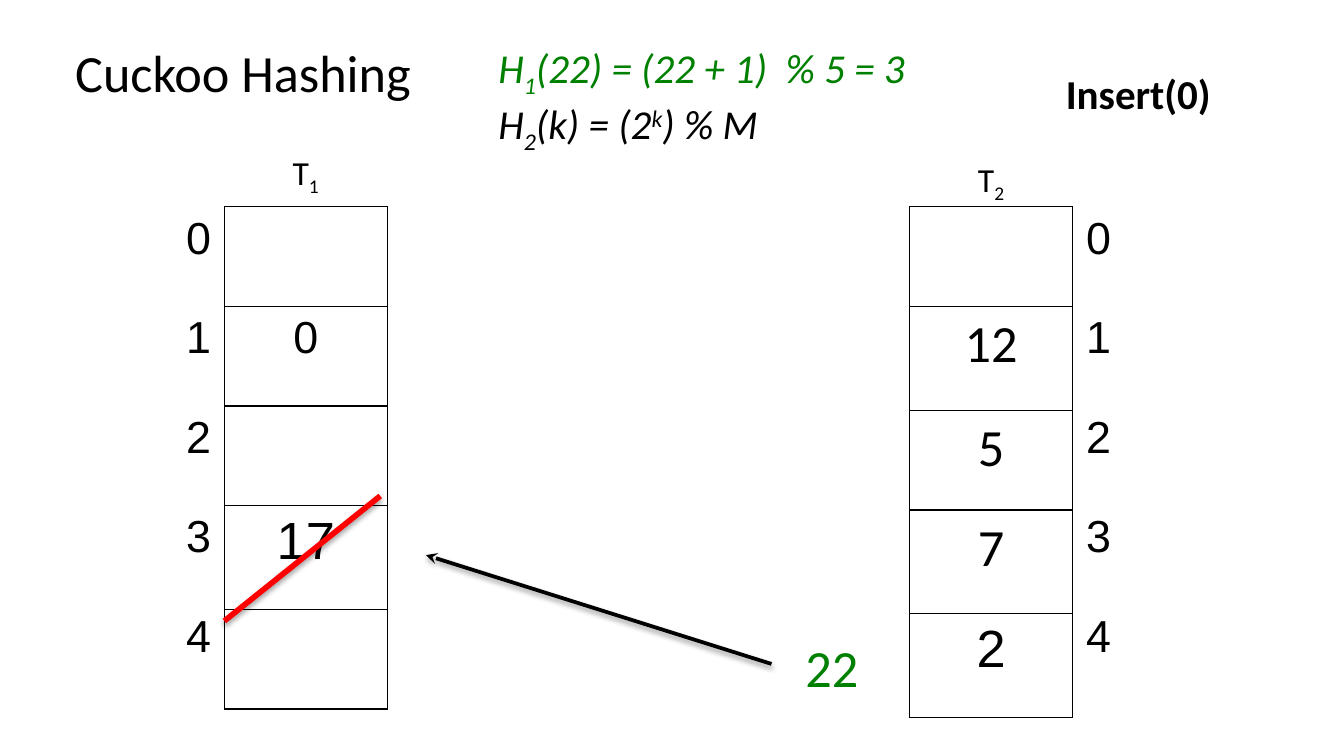
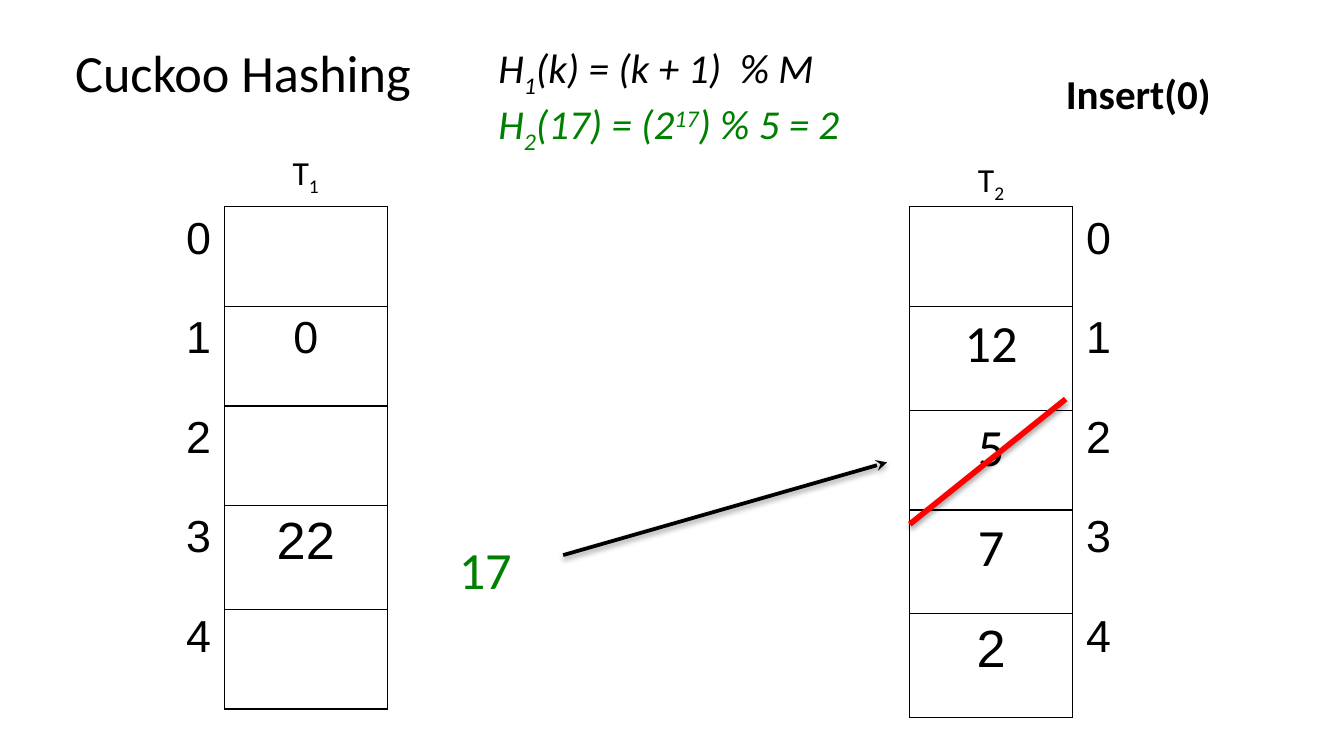
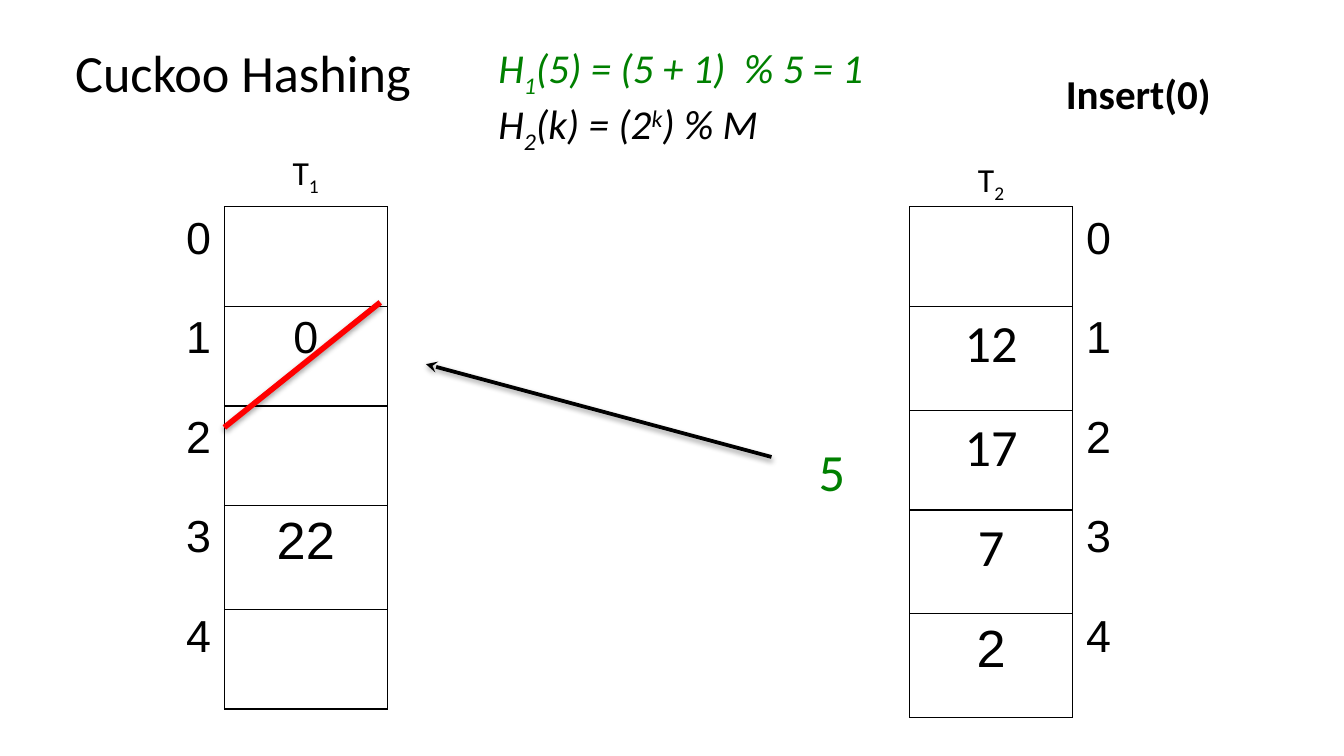
from dataclasses import dataclass

from lxml.etree import SubElement
from pptx import Presentation
from pptx.dml.color import RGBColor
from pptx.enum.shapes import MSO_CONNECTOR
from pptx.enum.text import MSO_ANCHOR, MSO_AUTO_SIZE, PP_ALIGN
from pptx.oxml import parse_xml
from pptx.oxml.ns import nsdecls, qn
from pptx.util import Pt

BLACK = RGBColor(0x00, 0x00, 0x00)
GREEN = RGBColor(0x00, 0x80, 0x00)
RED = RGBColor(0xFF, 0x00, 0x00)
BODY, DIGITS = "Calibri", "Arial"
SUB, SUPER = -25, 30

TITLE_ONLY = 5
PLAIN_TABLE = "{2D5ABB26-0587-4C30-8999-92F81FD0307C}"
T1_LEFT, T2_LEFT, TABLE_TOP, COL_W = 120.2, 487.4, 110.8, 87.2
ROW, TALL_ROW = 53.35, 55.7
STRIKE_W, STRIKE_H = 83.5, 67


@dataclass
class Run:
    text: str
    baseline: int = 0


@dataclass
class Line:
    runs: list[Run]
    color: RGBColor = BLACK


@dataclass
class Box:
    left: float
    top: float
    width: float
    height: float


@dataclass
class Slot:
    text: str = ""
    height: float = ROW
    font: str = DIGITS
    size: float = 28


@dataclass
class Step:
    """One move of the insertion: who is placed, where, and who is evicted."""
    formulas: list[Line]
    t1_slot3: str
    t2_slot2: str
    key: str
    key_left: float
    key_top: float
    arrow: tuple[float, float, float, float]
    strike_left: float
    strike_top: float


def h1(rest: str, color: RGBColor = BLACK) -> Line:
    return Line([Run("H"), Run("1", SUB), Run(rest)], color)


def h2(arg: str, rest: str, color: RGBColor = BLACK) -> Line:
    return Line([Run("H"), Run("2", SUB), Run(f"({arg}) = (2"),
                 Run(arg, SUPER), Run(rest)], color)


H2_GENERAL = h2("k", ") % M")

STEPS = [
    Step([h1("(22) = (22 + 1)  % 5 = 3", GREEN), H2_GENERAL],
         "17", "5", "22", 403.9, 337, (413.3, 355.7, 228.2, 297.4), T1_LEFT, 265.7),
    Step([h1("(k) = (k + 1)  % M"), h2("17", ") % 5 = 2", GREEN)],
         "22", "5", "17", 218.2, 284.4, (301.7, 297.4, 475.2, 247.7), T2_LEFT, 213.8),
    Step([h1("(5) = (5 + 1)  % 5 = 1", GREEN), H2_GENERAL],
         "22", "17", "5", 403.9, 231.8, (413.3, 244.8, 228.2, 195.1), T1_LEFT, 162),
]


def write(tf, lines: list[Line], align: PP_ALIGN, **fmt) -> None:
    for i, line in enumerate(lines):
        p = tf.paragraphs[0] if i == 0 else tf.add_paragraph()
        p.alignment = align
        for run in line.runs:
            r = p.add_run()
            r.text = run.text
            for name, value in fmt.items():
                setattr(r.font, name, value)
            r.font.color.rgb = line.color
            if run.baseline:
                r._r.get_or_add_rPr().set("baseline", str(run.baseline * 1000))


def add_text(s, box: Box, lines: list[Line], size: float,
             align: PP_ALIGN = PP_ALIGN.CENTER, **fmt) -> None:
    sp = s.shapes.add_textbox(Pt(box.left), Pt(box.top), Pt(box.width), Pt(box.height))
    sp.text_frame.word_wrap = True
    write(sp.text_frame, lines, align, name=BODY, size=Pt(size), **fmt)


def add_title(s, text: str) -> None:
    sp = s.shapes.title
    place = {"left": 33.1, "top": 18, "width": 195, "height": 41}
    for name, value in place.items():
        setattr(sp, name, Pt(value))
    tf = sp.text_frame
    frame = {"word_wrap": True, "auto_size": MSO_AUTO_SIZE.NONE,
             "vertical_anchor": MSO_ANCHOR.TOP}
    for name, value in frame.items():
        setattr(tf, name, value)
    write(tf, [Line([Run(text)])], PP_ALIGN.LEFT, name=BODY, size=Pt(28))


def add_borders(cell) -> None:
    tc_pr = cell._tc.get_or_add_tcPr()
    for i, side in enumerate(("lnL", "lnR", "lnT", "lnB")):
        tc_pr.insert(i, parse_xml(
            f'<a:{side} {nsdecls("a")} w="{Pt(0.75)}"><a:solidFill>'
            f'<a:srgbClr val="{BLACK}"/></a:solidFill></a:{side}>'))


def add_column(s, left: float, slots: list[Slot], align: PP_ALIGN,
               bordered: bool) -> None:
    height = sum(slot.height for slot in slots)
    table = s.shapes.add_table(len(slots), 1, Pt(left), Pt(TABLE_TOP),
                               Pt(COL_W), Pt(height)).table
    table.first_row = table.horz_banding = False
    table._tbl.tblPr.find(qn("a:tableStyleId")).text = PLAIN_TABLE
    for i, slot in enumerate(slots):
        table.rows[i].height = Pt(slot.height)
        cell = table.cell(i, 0)
        cell.fill.background()
        if bordered:
            add_borders(cell)
        if slot.text:
            write(cell.text_frame, [Line([Run(slot.text)])], align,
                  name=slot.font, size=Pt(slot.size))


def add_line(s, ends: tuple[float, float, float, float], color: RGBColor,
             width: float, arrow: bool = False) -> None:
    """Draw a straight line with a soft shadow below it."""
    cxn = s.shapes.add_connector(MSO_CONNECTOR.STRAIGHT, *(Pt(v) for v in ends))
    cxn.line.color.rgb = color
    cxn.line.width = Pt(width)
    if arrow:
        SubElement(cxn.line._get_or_add_ln(), qn("a:tailEnd"), type="stealth")
    cxn._element.spPr.append(parse_xml(
        f'<a:effectLst {nsdecls("a")}><a:outerShdw blurRad="{Pt(3.1)}" '
        f'dist="{Pt(1.6)}" dir="5400000" rotWithShape="0">'
        f'<a:srgbClr val="{BLACK}"><a:alpha val="38000"/></a:srgbClr>'
        '</a:outerShdw></a:effectLst>'))


def add_tables(s, step: Step) -> None:
    indexes = [Slot(str(i), size=24) for i in range(5)]
    t1 = [Slot(), Slot("0", size=24), Slot(), Slot(step.t1_slot3, TALL_ROW), Slot()]
    t2 = [Slot(), Slot("12", TALL_ROW, BODY), Slot(step.t2_slot2, font=BODY),
          Slot("7", TALL_ROW, BODY), Slot("2", TALL_ROW)]
    add_column(s, T1_LEFT, t1, PP_ALIGN.CENTER, True)
    add_column(s, T1_LEFT - COL_W, indexes, PP_ALIGN.RIGHT, False)
    add_column(s, T2_LEFT, t2, PP_ALIGN.CENTER, True)
    add_column(s, T2_LEFT + COL_W, indexes, PP_ALIGN.LEFT, False)
    for number, left, top in (("1", T1_LEFT, 77.8), ("2", T2_LEFT, 81.4)):
        add_text(s, Box(left, top, COL_W, 29),
                 [Line([Run("T"), Run(number, SUB)])], 18)


def add_step(prs, step: Step) -> None:
    s = prs.slides.add_slide(prs.slide_layouts[TITLE_ONLY])
    add_title(s, "Cuckoo Hashing")
    add_text(s, Box(259.9, 19.4, 252, 60.5), step.formulas, 22,
             PP_ALIGN.LEFT, italic=True)
    add_tables(s, step)
    add_text(s, Box(550.8, 33.1, 118, 34), [Line([Run("Insert(0)")])], 22, bold=True)
    add_text(s, Box(step.key_left, step.key_top, 83.5, 41),
             [Line([Run(step.key)], GREEN)], 28)
    add_line(s, step.arrow, BLACK, 2, arrow=True)
    add_line(s, (step.strike_left + STRIKE_W, step.strike_top,
                 step.strike_left, step.strike_top + STRIKE_H), RED, 3)


def main() -> None:
    prs = Presentation()
    prs.slide_width, prs.slide_height = Pt(720), Pt(405)
    for step in STEPS:
        add_step(prs, step)
    prs.save("out.pptx")


if __name__ == "__main__":
    main()
